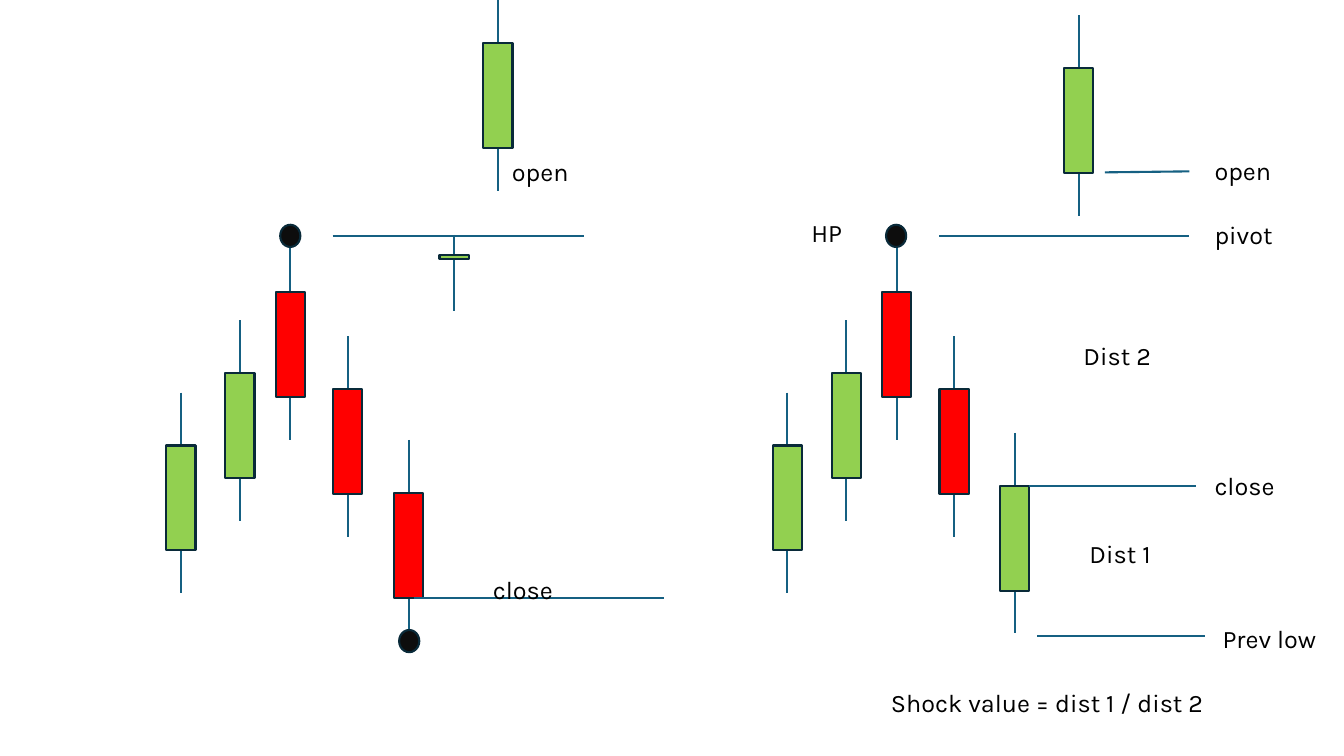
"""Build a slide that compares two candlestick patterns and defines the shock value."""
from lxml.etree import SubElement
from pptx import Presentation
from pptx.dml.color import RGBColor
from pptx.enum.shapes import MSO_CONNECTOR, MSO_SHAPE
from pptx.enum.text import MSO_AUTO_SIZE, PP_ALIGN
from pptx.oxml.ns import qn
from pptx.util import Inches, Pt

COLORS = {
    "rise": "92D050",
    "fall": "FF0000",
    "pivot": "0D0D0D",
    "outline": "092A39",
    "line": "156082",
    "text": "000000",
}
FONT = "Karla"
LINE_WIDTH = Pt(1.5)
CELL = 0.1
COLUMNS, ROWS = 133.33, 75

BODY_WIDTH, BODY_HEIGHT = 2.9, 10.4
UPPER_WICK, LOWER_WICK = 5.25, 4.25
DOT_WIDTH, DOT_HEIGHT = 2, 2.2
LABEL_WIDTH, LABEL_HEIGHT = 11.5, 4
PATTERN_SHIFT = 60.15

PATTERN = [
    (17.95, 44.2, "rise"),
    (23.8, 37, "rise"),
    (28.8, 29, "fall"),
    (34.5, 38.6, "fall"),
]
SINGLE_CANDLES = [
    (40.55, 48.9, "fall"),
    (49.4, 4.3, "rise"),
    (107, 6.75, "rise"),
    (100.65, 48.2, "rise"),
]
PIVOT_DOTS = [(40.6, 63.6), (28.8, 23.4), (88.9, 23.4)]
LEVELS = [
    (33, 23.4, 57.9, 23.4),
    (41.1, 59.3, 65.9, 59.3),
    (93.2, 23.4, 118, 23.4),
    (102.1, 48.2, 118.7, 48.2),
    (109.6, 17.1, 118, 17),
    (102.9, 63.1, 119.5, 63.1),
]
LABELS = [
    ("close", 47.9, 56.5),
    ("close", 119.5, 46.2),
    ("open", 49.8, 15),
    ("open", 119.5, 14.9),
    ("pivot", 119.5, 21.3),
    ("Dist 1", 107.1, 52.9),
    ("Dist 2", 106.5, 33.3),
    ("HP", 79.5, 21.1),
    ("Prev low", 120.3, 61.3),
]


def cells(count):
    """Turn a number of grid columns or rows into a length."""
    return Inches(count * CELL)


def add_line(shapes, left, top, right, bottom):
    """Draw a straight line without a shadow."""
    ends = [cells(end) for end in (left, top, right, bottom)]
    connector = shapes.add_connector(MSO_CONNECTOR.STRAIGHT, *ends)
    connector.line.color.rgb = RGBColor.from_string(COLORS["line"])
    connector.line.width = LINE_WIDTH
    SubElement(connector._element.spPr, qn("a:effectLst"))


def add_filled(shapes, kind, center, top, width, height, color):
    """Draw an outlined shape centred on a column."""
    box = [cells(size) for size in (center - width / 2, top, width, height)]
    shape = shapes.add_shape(kind, *box)
    shape.shadow.inherit = False
    shape.fill.solid()
    shape.fill.fore_color.rgb = RGBColor.from_string(COLORS[color])
    shape.line.color.rgb = RGBColor.from_string(COLORS["outline"])
    shape.line.width = LINE_WIDTH


def add_candle(slide, center, top, color, height=BODY_HEIGHT,
               upper=UPPER_WICK, lower=LOWER_WICK):
    """Group a wick, cut at the slide's top edge, with its candle body."""
    candle = slide.shapes.add_group_shape().shapes
    add_line(candle, center, max(top - upper, 0), center, top + height + lower)
    add_filled(candle, MSO_SHAPE.RECTANGLE, center, top, BODY_WIDTH, height, color)


def add_text(slide, text, left, top, width=LABEL_WIDTH, size=18, color="text"):
    """Write one line of text in a box."""
    box = [cells(length) for length in (left, top, width, LABEL_HEIGHT)]
    frame = slide.shapes.add_textbox(*box).text_frame
    frame.word_wrap = True
    frame.auto_size = MSO_AUTO_SIZE.SHAPE_TO_FIT_TEXT
    paragraph = frame.paragraphs[0]
    paragraph.alignment = PP_ALIGN.LEFT
    run = paragraph.add_run()
    run.text = text
    run.font.name = FONT
    run.font.size = Pt(size)
    run.font.color.rgb = RGBColor.from_string(COLORS[color])


def main():
    """Build and save the slide."""
    presentation = Presentation()
    presentation.slide_width = cells(COLUMNS)
    presentation.slide_height = cells(ROWS)
    slide = presentation.slides.add_slide(presentation.slide_layouts[6])

    for shift in (0, PATTERN_SHIFT):
        for center, top, color in PATTERN:
            add_candle(slide, center + shift, top, color)
    for center, top, color in SINGLE_CANDLES:
        add_candle(slide, center, top, color)
    add_candle(slide, 45.05, 25.3, "rise", height=0.4, upper=2, lower=5.2)

    for center, middle in PIVOT_DOTS:
        add_filled(slide.shapes, MSO_SHAPE.OVAL, center, middle - DOT_HEIGHT / 2,
                   DOT_WIDTH, DOT_HEIGHT, "pivot")
    for level in LEVELS:
        add_line(slide.shapes, *level)
    for text, left, top in LABELS:
        add_text(slide, text, left, top)
    add_text(slide, "Shock value = dist 1 / dist 2", 87.4, 67.7, width=35.1)

    presentation.save("out.pptx")


if __name__ == "__main__":
    main()
